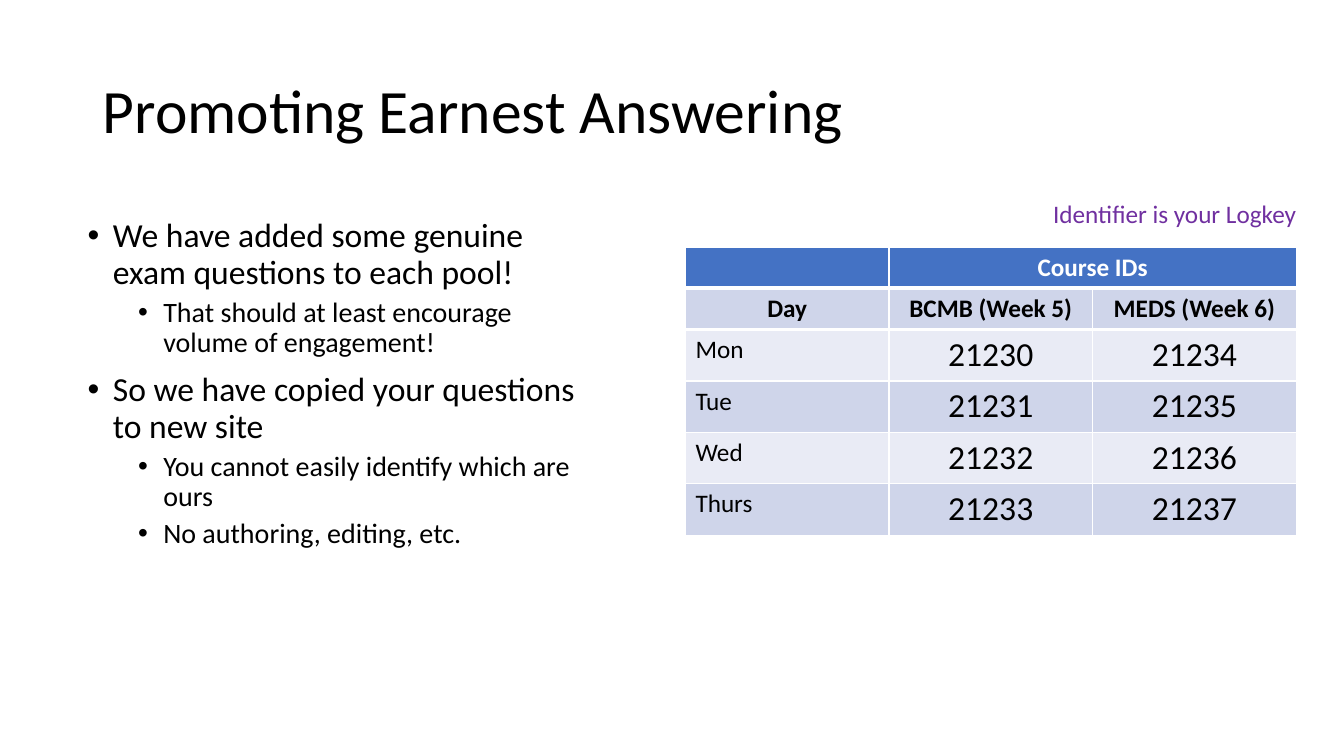
"""Build the slide on promoting earnest answering, with its course ID table."""
from lxml import etree
from pptx import Presentation
from pptx import util as u
from pptx.dml.color import RGBColor
from pptx.enum import text
from pptx.oxml.ns import qn

PX = 9144
HUES = {"ink": "000000", "white": "FFFFFF", "note": "7030A0",
        "head": "4472C4", "dark": "CFD5EA", "light": "E9EBF5"}


def place(shape, *box):
    shape.left, shape.top, shape.width, shape.height = [n * PX for n in box]


def style(para, size, hue="ink", bold=False, align=text.PP_ALIGN.LEFT):
    para.alignment = align
    for run in para.runs:
        run.font.name = "Calibri"
        run.font.size = u.Pt(size)
        run.font.bold = bold
        run.font.color.rgb = RGBColor.from_string(HUES[hue])


deck = Presentation()
deck.slide_width, deck.slide_height = u.Emu(12192000), u.Emu(6858000)
slide = deck.slides.add_slide(deck.slide_layouts[1])

title, body = slide.placeholders
place(title, 92, 40, 1150, 145)
frame = title.text_frame
frame.text = "Promoting Earnest Answering"
frame.vertical_anchor = text.MSO_ANCHOR.MIDDLE
frame.paragraphs[0].line_spacing = 0.9
style(frame.paragraphs[0], 44)

points = [
    (0, "We have added some genuine exam questions to each pool!"),
    (1, "That should at least encourage volume of engagement!"),
    (0, "So we have copied your questions to new site"),
    (1, "You cannot easily identify which are ours"),
    (1, "No authoring, editing, etc."),
]
place(body, 77, 212, 517, 470)
frame = body.text_frame
frame.text = "\n".join(words for level, words in points)
frame.auto_size = text.MSO_AUTO_SIZE.NONE
for para, (level, words) in zip(frame.paragraphs, points):
    para.level = level
    para.line_spacing = 0.9
    para.space_before = u.Pt((10, 5)[level])
    style(para, (24, 20)[level])
    props = para._p.get_or_add_pPr()
    props.set("marL", str((25, 75)[level] * PX))
    props.set("indent", str(-25 * PX))
    etree.SubElement(props, qn("a:buFont")).set("typeface", "Arial")
    etree.SubElement(props, qn("a:buChar")).set("char", "•")

rows = [
    ("", "Course IDs", ""),
    ("Day", "BCMB (Week 5)", "MEDS (Week 6)"),
    ("Mon", "21230", "21234"),
    ("Tue", "21231", "21235"),
    ("Wed", "21232", "21236"),
    ("Thurs", "21233", "21237"),
]
grid = slide.shapes.add_table(6, 3, 680 * PX, 245 * PX, 607 * PX, 281 * PX).table
for col in grid.columns:
    col.width = 202 * PX
grid.cell(0, 1).merge(grid.cell(0, 2))
for r, row in enumerate(rows):
    grid.rows[r].height = (41 if r < 2 else 51) * PX
    fill = "head" if r == 0 else ("light", "dark")[r % 2]
    for c, words in enumerate(row):
        cell = grid.cell(r, c)
        cell.fill.solid()
        cell.fill.fore_color.rgb = RGBColor.from_string(HUES[fill])
        if r < 2:
            edge = etree.Element(qn(("a:lnB", "a:lnT")[r]), w=str(u.Pt(3)))
            paint = etree.SubElement(edge, qn("a:solidFill"))
            etree.SubElement(paint, qn("a:srgbClr")).set("val", HUES["white"])
            cell._tc.get_or_add_tcPr().insert(0, edge)
        cell.text_frame.text = words
        day = r > 1 and c == 0
        style(cell.text_frame.paragraphs[0], 24 if r > 1 and c else 18,
              "ink" if r else "white", r < 2,
              text.PP_ALIGN.LEFT if day else text.PP_ALIGN.CENTER)

note = slide.shapes.add_textbox(1035 * PX, 192 * PX, 264 * PX, 40 * PX)
frame = note.text_frame
frame.text = "Identifier is your Logkey"
frame.word_wrap = False
frame.auto_size = text.MSO_AUTO_SIZE.SHAPE_TO_FIT_TEXT
style(frame.paragraphs[0], 18, "note")

deck.save("out.pptx")
